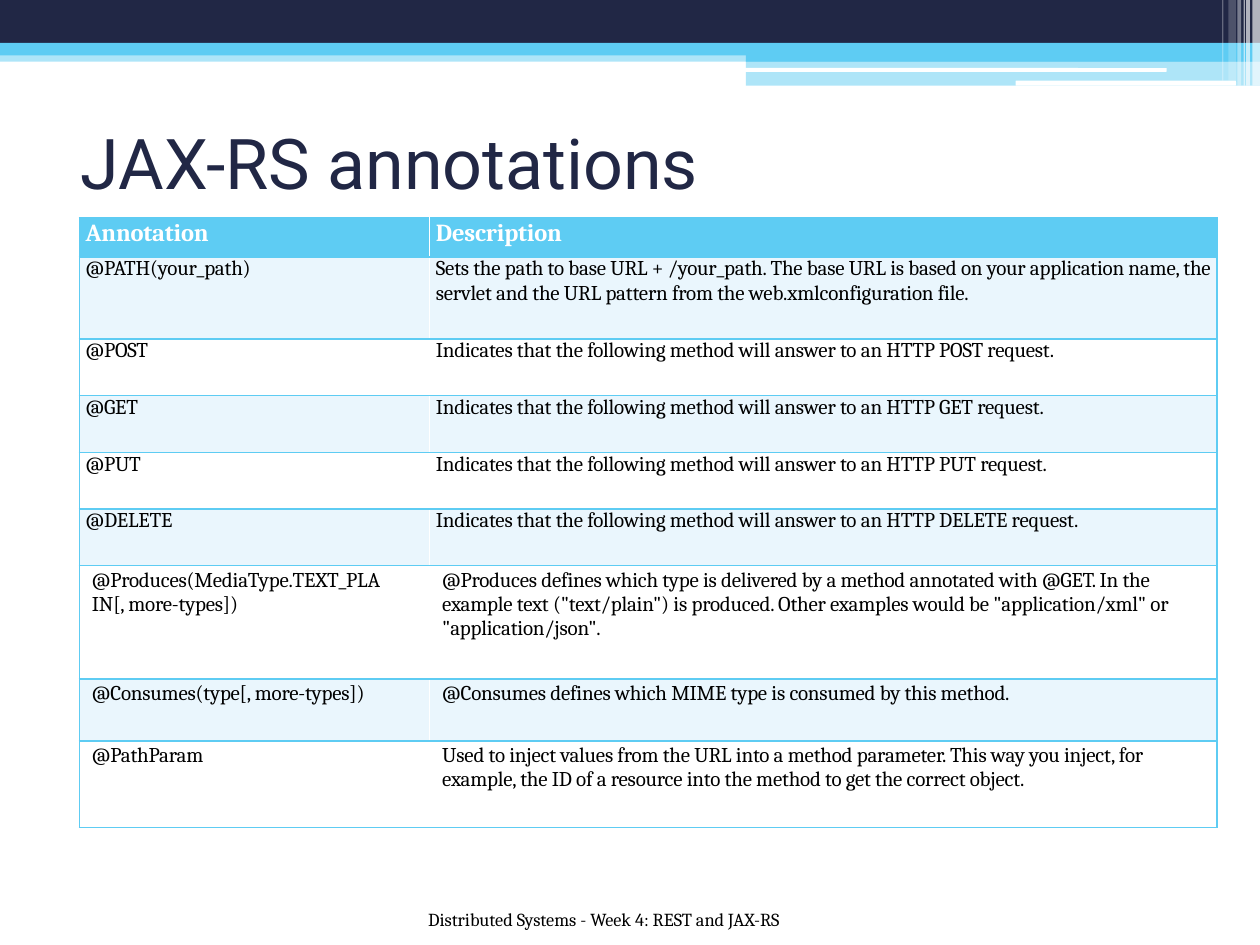
from lxml import etree
from pptx import Presentation
from pptx import util as u
from pptx.dml.color import RGBColor
from pptx.enum import shapes, text
from pptx.oxml import ns

NAVY = RGBColor(0x21, 0x27, 0x45)
SKY = RGBColor(0x5E, 0xCC, 0xF3)
PALE = RGBColor(0xEA, 0xF6, 0xFD)
WHITE = RGBColor(0xFF, 0xFF, 0xFF)
BLACK = RGBColor(0x00, 0x00, 0x00)

RECT = shapes.MSO_SHAPE.RECTANGLE
ROUND = shapes.MSO_SHAPE.ROUNDED_RECTANGLE

BANNER = [
    (RECT, 0, 0.4, 10, 0.09, SKY, 50),
    (RECT, 0, 0, 10, 0.34, NAVY, 100),
    (RECT, 0, 0.34, 10, 0.1, SKY, 100),
    (RECT, 5.92, 0.39, 4.08, 0.1, SKY, 100),
    (RECT, 5.92, 0.48, 4.08, 0.2, SKY, 50),
    (ROUND, 5.91, 0.54, 3.35, 0.03, WHITE, 100),
    (ROUND, 8.06, 0.64, 1.75, 0.04, WHITE, 100),
]
STRIPES = [
    (9.94, 0.06, 0.68, 65),
    (9.89, 0.03, 0.68, 65),
    (9.87, 0.01, 0.68, 60),
    (9.82, 0.03, 0.68, 40),
    (9.75, 0.06, 0.64, 20),
    (9.7, 0.01, 0.64, 30),
]

TITLE = "JAX-RS annotations"
FOOTER = "Distributed Systems - Week 4: REST and JAX-RS"
METHOD = "Indicates that the following method will answer to an HTTP {} request."
ROWS = [
    (0.31, "Annotation", "Description"),
    (0.65, "@PATH(your_path)",
     "Sets the path to base URL + /your_path. The base URL is based on your application "
     "name, the servlet and the URL pattern from the web.xmlconfiguration file."),
    *[(0.45, f"@{verb}", METHOD.format(verb)) for verb in ("POST", "GET", "PUT", "DELETE")],
    (0.9, "@Produces(MediaType.TEXT_PLA\vIN[, more-types])",
     "@Produces defines which type is delivered by a method annotated with @GET. In the "
     "example text (\"text/plain\") is produced. Other examples would be "
     "\"application/xml\" or \"application/json\"."),
    (0.49, "@Consumes(type[, more-types])",
     "@Consumes defines which MIME type is consumed by this method."),
    (0.69, "@PathParam",
     "Used to inject values from the URL into a method parameter. This way you inject, for "
     "example, the ID of a resource into the method to get the correct object."),
]
COLUMNS = [2.78, 6.25]
FIRST_WIDE_ROW = 6

HEAD_FONT = {"name": "Cambria", "size": u.Pt(14), "bold": True}
BODY_FONT = {"name": "Cambria", "size": u.Pt(12), "bold": False}
TITLE_FONT = {"name": "Roboto", "size": u.Pt(40), "bold": False}
FOOTER_FONT = {"name": "Cambria", "size": u.Pt(10.5)}


def set_format(target, values):
    for name, value in values.items():
        setattr(target, name, value)


def write(para, words, font, color):
    para.text = words
    for span in para.runs:
        set_format(span.font, font)
        span.font.color.rgb = color


def add_bar(page, kind, left, top, width, height, color, opacity):
    bar = page.shapes.add_shape(kind, *map(u.Inches, (left, top, width, height)))
    bar.shadow.inherit = False
    bar.fill.solid()
    bar.fill.fore_color.rgb = color
    bar.line.fill.background()
    if opacity < 100:
        tint = bar.fill._xPr.find(".//" + ns.qn("a:srgbClr"))
        etree.SubElement(tint, ns.qn("a:alpha")).set("val", str(opacity * 1000))


def add_borders(cell, sides):
    props = cell._tc.get_or_add_tcPr()
    for place, side in enumerate(sides):
        line = etree.Element(ns.qn(f"a:ln{side}"), w=str(u.Pt(1)))
        fill = etree.SubElement(line, ns.qn("a:solidFill"))
        etree.SubElement(fill, ns.qn("a:srgbClr"), val=str(SKY))
        props.insert(place, line)


def fill_cell(cell, words, row, column):
    header, wide = row == 0, row >= FIRST_WIDE_ROW
    top = 0.01 if header else 0.02 if wide else 0
    set_format(cell, {"margin_left": 0, "margin_right": 0, "margin_bottom": 0,
                      "margin_top": u.Inches(top)})
    para = cell.text_frame.paragraphs[0]
    para._p.get_or_add_pPr().set("marL", str(u.Inches(0.1 if wide else 0.05)))
    para.space_before = u.Pt(2 if wide else 0)
    write(para, words, HEAD_FONT if header else BODY_FONT, WHITE if header else BLACK)
    for span in para.runs:
        span.font._element.set("spc", "-10")
    cell.fill.solid()
    cell.fill.fore_color.rgb = SKY if header else PALE if row % 2 else WHITE
    add_borders(cell, "RTB" if column else "LTB")


def add_annotations(page):
    area = (0.63, 1.73, sum(COLUMNS), sum(row[0] for row in ROWS))
    frame = page.shapes.add_table(len(ROWS), len(COLUMNS), *map(u.Inches, area))
    table = frame.table
    set_format(table, {"first_row": False, "horz_banding": False})
    for column, width in zip(table.columns, COLUMNS):
        column.width = u.Inches(width)
    for row, (height, *cells) in enumerate(ROWS):
        table.rows[row].height = u.Inches(height)
        for column, words in enumerate(cells):
            fill_cell(table.cell(row, column), words, row, column)


def place_title(page):
    title = page.shapes.title
    set_format(title, {"left": u.Inches(0.63), "top": u.Inches(0.94),
                       "width": u.Inches(5.7), "height": u.Inches(0.68)})
    set_format(title.text_frame, {
        "margin_left": u.Inches(0.01), "margin_top": u.Inches(0.01),
        "margin_right": 0, "margin_bottom": 0, "word_wrap": True,
        "auto_size": text.MSO_AUTO_SIZE.NONE,
        "vertical_anchor": text.MSO_ANCHOR.MIDDLE})
    para = title.text_frame.paragraphs[0]
    para.alignment = text.PP_ALIGN.LEFT
    write(para, TITLE, TITLE_FONT, NAVY)


def main():
    deck = Presentation()
    deck.slide_width, deck.slide_height = u.Inches(10), u.Inches(7.5)
    page = deck.slides.add_slide(deck.slide_layouts[5])
    for bar in BANNER:
        add_bar(page, *bar)
    for left, width, height, opacity in STRIPES:
        add_bar(page, RECT, left, 0, width, height, WHITE, opacity)
    place_title(page)
    add_annotations(page)
    footer = page.shapes.add_textbox(*map(u.Inches, (3.3, 7.16, 3.41, 0.28)))
    footer.text_frame.word_wrap = True
    write(footer.text_frame.paragraphs[0], FOOTER, FOOTER_FONT, BLACK)
    deck.save("out.pptx")


if __name__ == "__main__":
    main()
